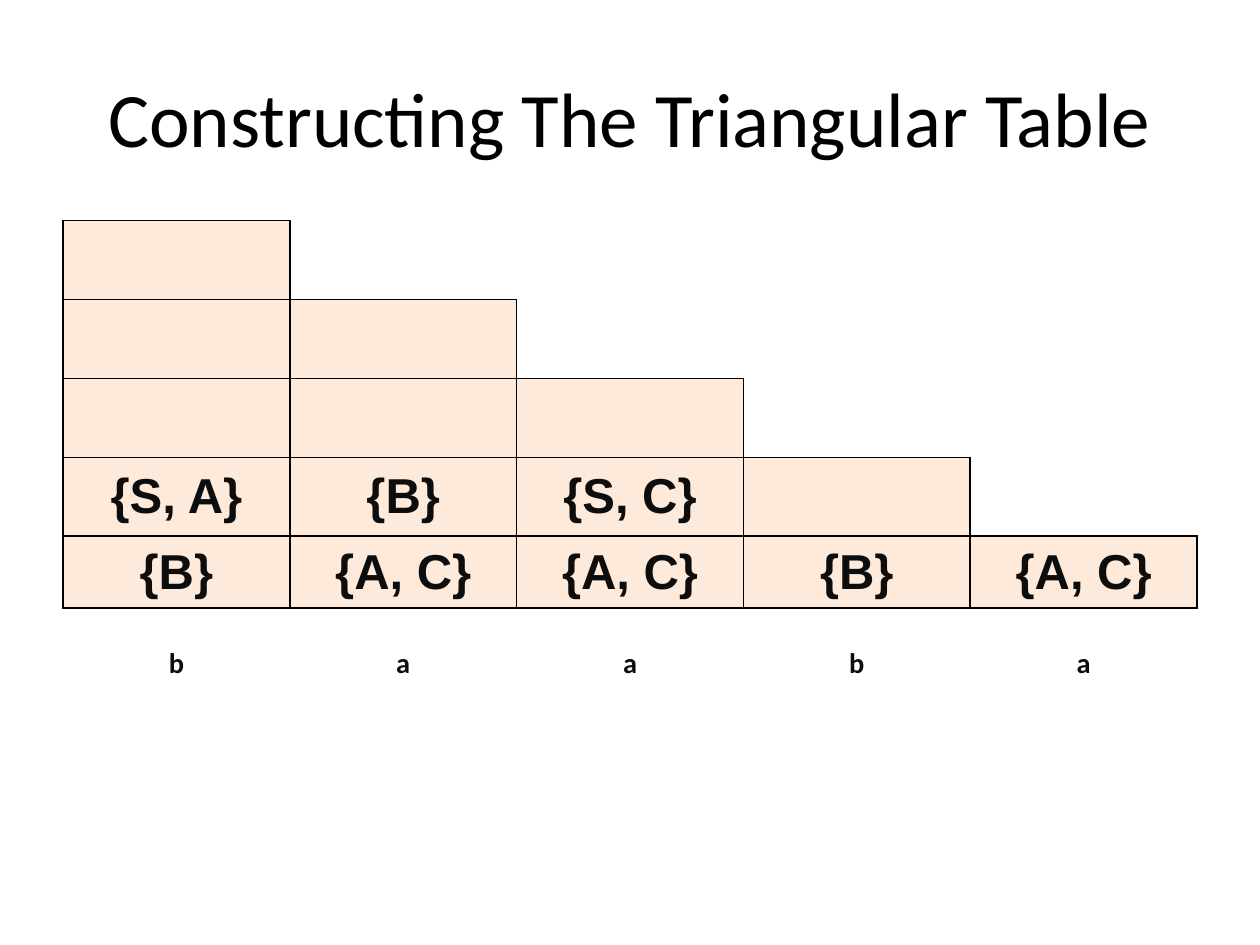
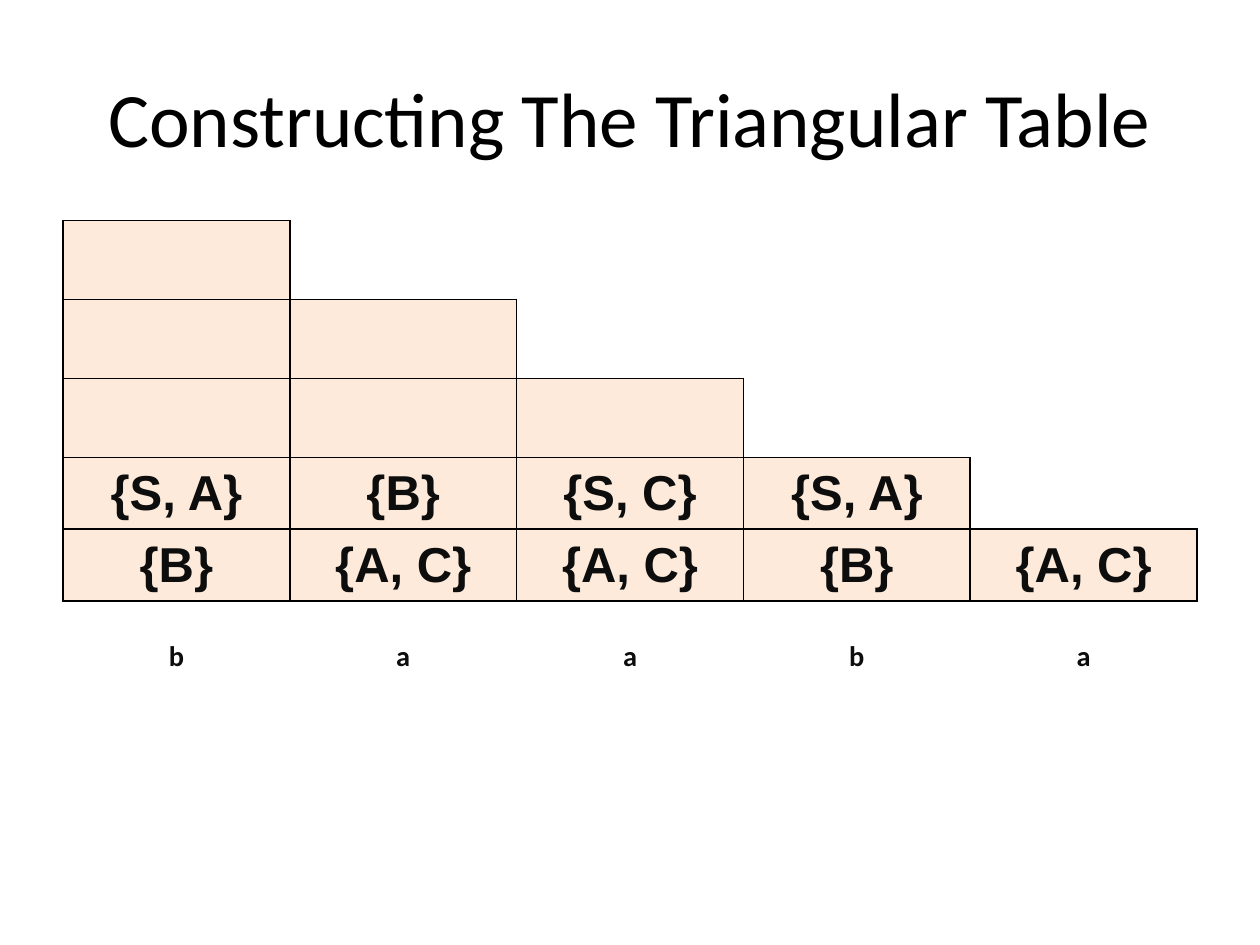
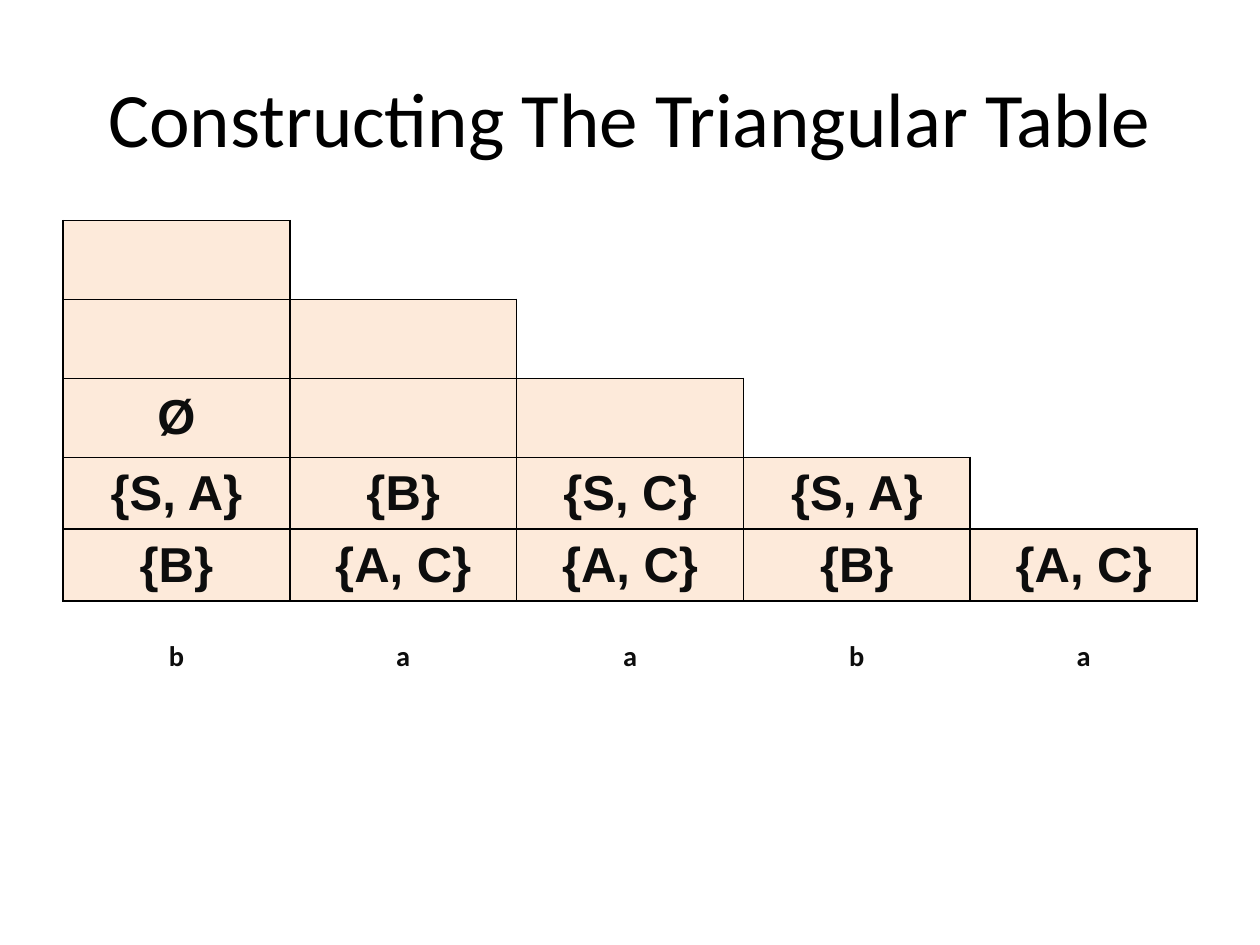
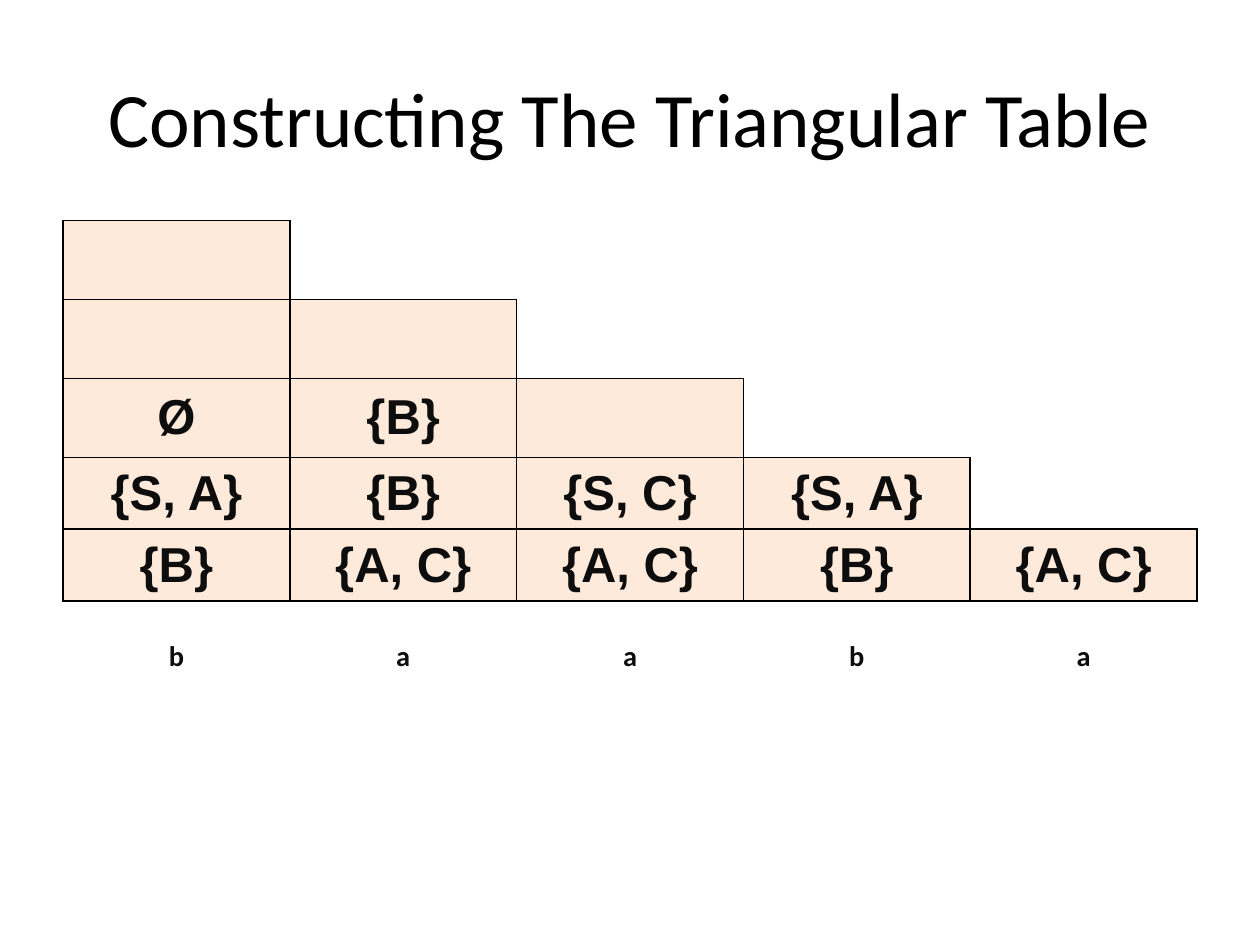
from lxml import etree
from pptx import Presentation
from pptx.dml.color import RGBColor
from pptx.enum import text
from pptx.oxml import ns
from pptx.util import Pt

BLACK = RGBColor(0x00, 0x00, 0x00)
INK = RGBColor(0x0D, 0x0D, 0x0D)
PEACH = RGBColor(0xFD, 0xEA, 0xDA)

TITLE = "Constructing The Triangular Table"
TITLE_BOX = (36, 21.6, 648, 90)
TABLE_BOX = (36, 126, 648, 244.8)
WORD = "baaba"
SIZE = len(WORD)
EMPTY_ROW, FULL_ROW = 45.1, 41.1

BASE = ["{B}", "{A, C}", "{A, C}", "{B}", "{A, C}"]
PAIRS = ["{S, A}", "{B}", "{S, C}", "{S, A}"]
STEPS = [
    [BASE, PAIRS[:3]],
    [BASE, PAIRS],
    [BASE, PAIRS, ["Ø"]],
    [BASE, PAIRS, ["Ø", "{B}"]],
]


def in_triangle(row, column):
    """Tell whether a grid position belongs to the triangle."""
    return 0 <= column <= row < SIZE


def add_title(page, box):
    """Fill and place the title placeholder."""
    title = page.shapes.title
    title.left, title.top, title.width, title.height = map(Pt, box)
    frame = title.text_frame
    frame.text = TITLE
    frame.vertical_anchor = text.MSO_ANCHOR.MIDDLE
    para = frame.paragraphs[0]
    para.alignment = text.PP_ALIGN.CENTER
    para.font.name, para.font.size = "Calibri", Pt(44)
    para.font.color.rgb = BLACK


def draw_borders(cell, row, column):
    """Outline every edge that touches the triangle and clear the others."""
    neighbours = {
        "a:lnL": (row, column - 1),
        "a:lnR": (row, column + 1),
        "a:lnT": (row - 1, column),
        "a:lnB": (row + 1, column),
    }
    properties = cell._tc.get_or_add_tcPr()
    for index, (tag, neighbour) in enumerate(neighbours.items()):
        line = etree.Element(ns.qn(tag), w=str(Pt(1)))
        if in_triangle(row, column) or in_triangle(*neighbour):
            fill = etree.SubElement(line, ns.qn("a:solidFill"))
            etree.SubElement(fill, ns.qn("a:srgbClr"), val=str(BLACK))
        else:
            etree.SubElement(line, ns.qn("a:noFill"))
        properties.insert(index, line)


def write_cell(cell, words, font_name, lowered=False):
    """Write centred bold words, lowered as a subscript if asked."""
    cell.vertical_anchor = text.MSO_ANCHOR.MIDDLE
    para = cell.text_frame.paragraphs[0]
    para.alignment = text.PP_ALIGN.CENTER
    para.font.name, para.font.size, para.font.bold = font_name, Pt(28), True
    para.font.color.rgb = INK
    span = para.add_run()
    span.text = words
    if lowered:
        span._r.get_or_add_rPr().set("baseline", "-25000")


def add_triangle(page, box, levels):
    """Build the triangular table from its bottom level upwards."""
    table = page.shapes.add_table(SIZE + 1, SIZE, *map(Pt, box)).table
    table.first_row = table.horz_banding = False
    for row in range(SIZE + 1):
        level = SIZE - 1 - row
        sets = levels[level] if 0 <= level < len(levels) else []
        complete = row == SIZE or len(sets) == row + 1
        table.rows[row].height = Pt(FULL_ROW if complete else EMPTY_ROW)
        for column in range(SIZE):
            cell = table.cell(row, column)
            if in_triangle(row, column):
                cell.fill.solid()
                cell.fill.fore_color.rgb = PEACH
            else:
                cell.fill.background()
            draw_borders(cell, row, column)
            if row == SIZE:
                write_cell(cell, WORD[column], "Calibri", lowered=True)
            elif column < len(sets):
                write_cell(cell, sets[column], "Arial")


def main():
    """Build one page for each step and save the deck."""
    deck = Presentation()
    deck.slide_width, deck.slide_height = Pt(720), Pt(540)
    for levels in STEPS:
        page = deck.slides.add_slide(deck.slide_layouts[5])
        add_title(page, TITLE_BOX)
        add_triangle(page, TABLE_BOX, levels)
    deck.save("out.pptx")


if __name__ == "__main__":
    main()
